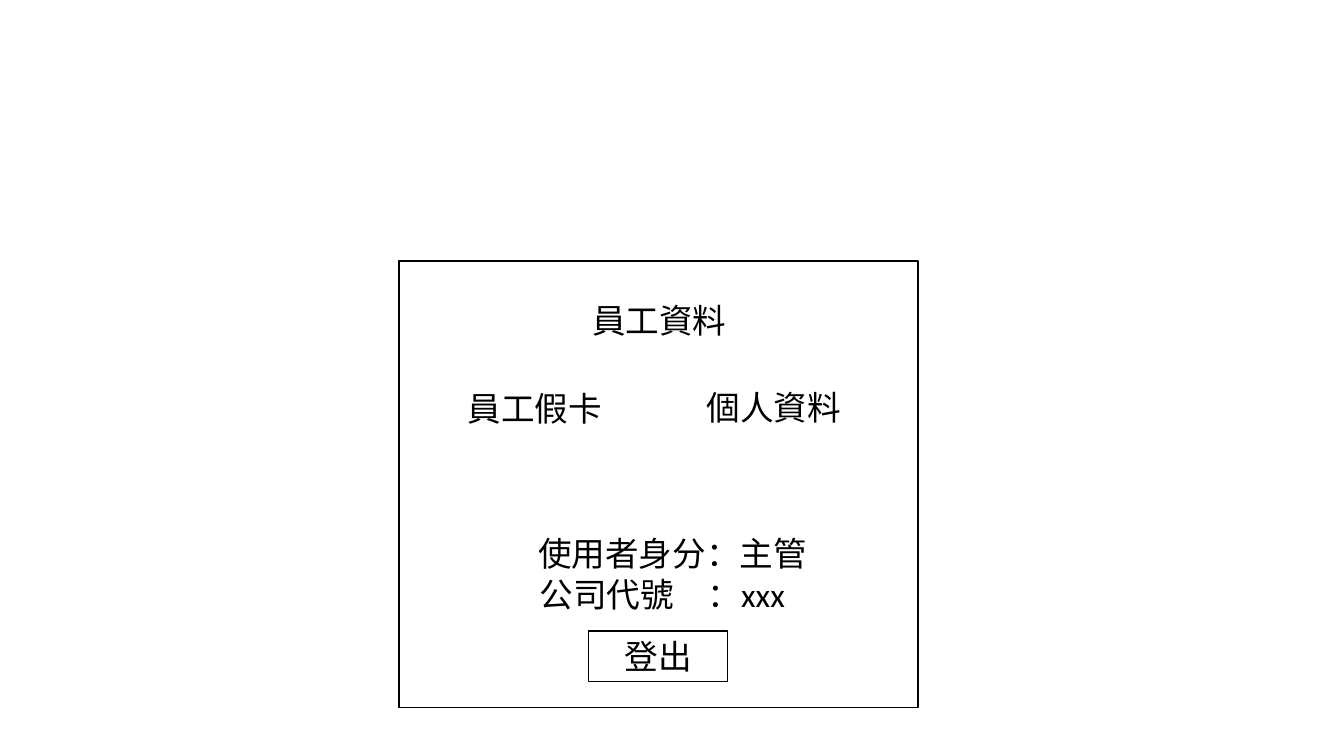
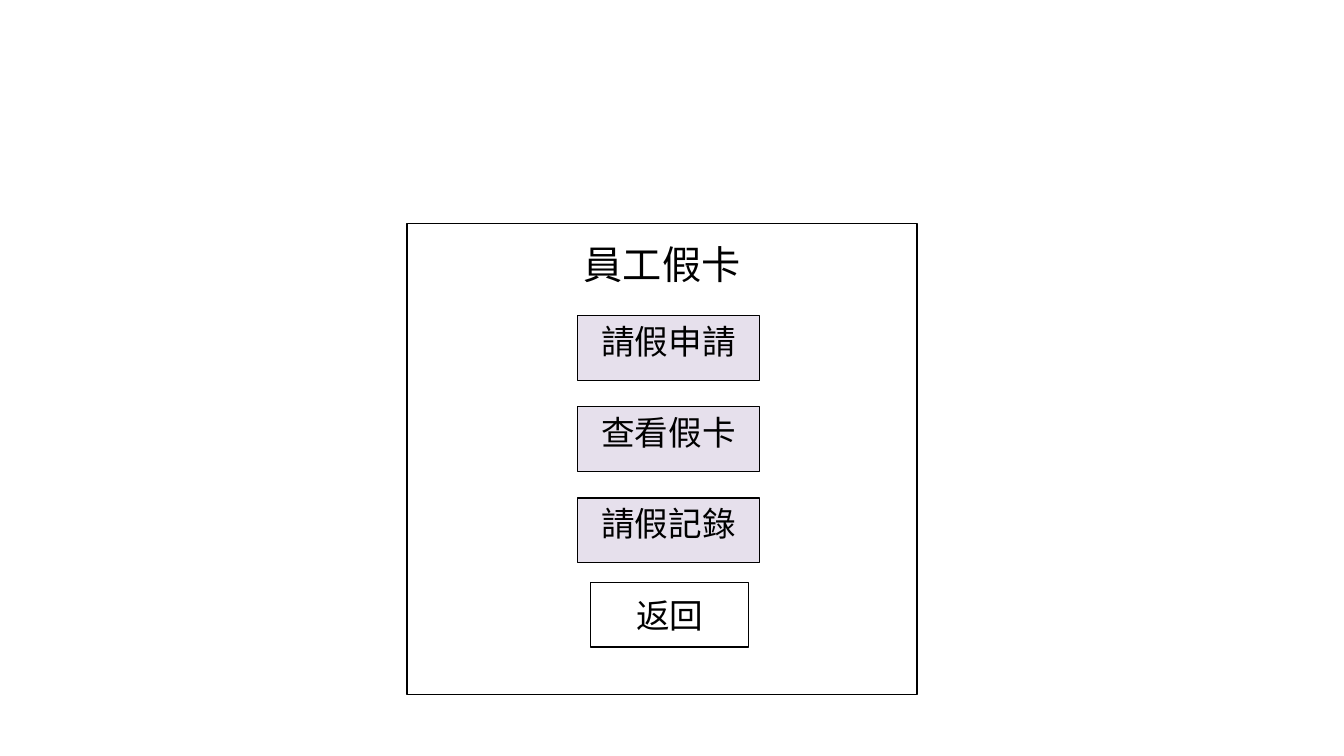
import pptx
import pptx.util
import pptx.dml.color
import pptx.enum.shapes
import pptx.enum.text
from pptx.util import Cm, Pt

FONT = "Calibri"
BLACK, WHITE, LILAC = "000000", "FFFFFF", "E6E0EC"
ALIGN = pptx.enum.text.PP_ALIGN
ANCHOR = pptx.enum.text.MSO_ANCHOR


def color(hex_code):
    return pptx.dml.color.RGBColor.from_string(hex_code)


def write(shape, text, size=24, anchor=ANCHOR.TOP):
    """Centred black text; each line becomes a paragraph."""
    tf = shape.text_frame
    tf.text = text
    tf.word_wrap = True
    tf.auto_size = pptx.enum.text.MSO_AUTO_SIZE.NONE
    tf.vertical_anchor = anchor
    for p in tf.paragraphs:
        p.alignment = ALIGN.CENTER
        for r in p.runs:
            r.font.name = FONT
            r.font.size = Pt(size)
            r.font.color.rgb = color(BLACK)
    return tf


def add_box(s, left, top, width, height, fill=None, line=BLACK, weight=1):
    sp = s.shapes.add_shape(pptx.enum.shapes.MSO_SHAPE.RECTANGLE,
                            Cm(left), Cm(top), Cm(width), Cm(height))
    sp.shadow.inherit = False
    if fill:
        sp.fill.solid()
        sp.fill.fore_color.rgb = color(fill)
    else:
        sp.fill.background()
    sp.line.color.rgb = color(line)
    sp.line.width = Pt(weight)
    return sp


def add_button(s, text, left, top, width, height):
    write(add_box(s, left, top, width, height, WHITE), text, anchor=ANCHOR.MIDDLE)


def add_item(s, text, left, top, width, height, fill, line):
    write(add_box(s, left, top, width, height, fill, line, 0.75), text)


def add_screen(prs, title, title_box, frame, size):
    """A slide with a framed dialog and its heading."""
    s = prs.slides.add_slide(prs.slide_layouts[5])
    add_box(s, *frame)
    sp = s.shapes.title
    sp.left, sp.top, sp.width, sp.height = map(Cm, title_box)
    write(sp, title, size)
    return s


def employee_data(prs):
    s = add_screen(prs, "員工資料", (11.84, 7.44, 9.55, 1.27),
                   (10.06, 6.58, 13.08, 11.25), 24)
    # Menu entries
    add_item(s, "員工假卡", 10.8, 9.65, 5.36, 1.68, WHITE, WHITE)
    add_item(s, "個人資料", 16.94, 9.63, 5.13, 1.7, WHITE, WHITE)
    # User details
    sp = s.shapes.add_textbox(Cm(8.48), Cm(13.31), Cm(16.94), Cm(2.31))
    tf = write(sp, "使用者身分：主管\n公司代號　：xxx")
    p = tf.paragraphs[1]
    p.alignment = ALIGN.LEFT
    p._p.get_or_add_pPr().set("marL", str(Cm(4.87)))
    add_button(s, "登出", 14.83, 15.9, 3.51, 1.27)


def leave_card(prs):
    s = add_screen(prs, "員工假卡", (10.26, 5.92, 12.85, 1.63),
                   (10.26, 5.64, 12.85, 11.86), 28)
    # Menu entries at equal steps
    top, step = 7.95, 2.3
    for i, text in enumerate(("請假申請", "查看假卡", "請假記錄")):
        add_item(s, text, 14.55, top + i * step, 4.6, 1.63, LILAC, BLACK)
    add_button(s, "返回", 14.88, 14.68, 3.99, 1.63)


def main():
    prs = pptx.Presentation()
    prs.slide_width, prs.slide_height = Cm(33.87), Cm(19.05)
    employee_data(prs)
    leave_card(prs)
    prs.save("out.pptx")


if __name__ == "__main__":
    main()
